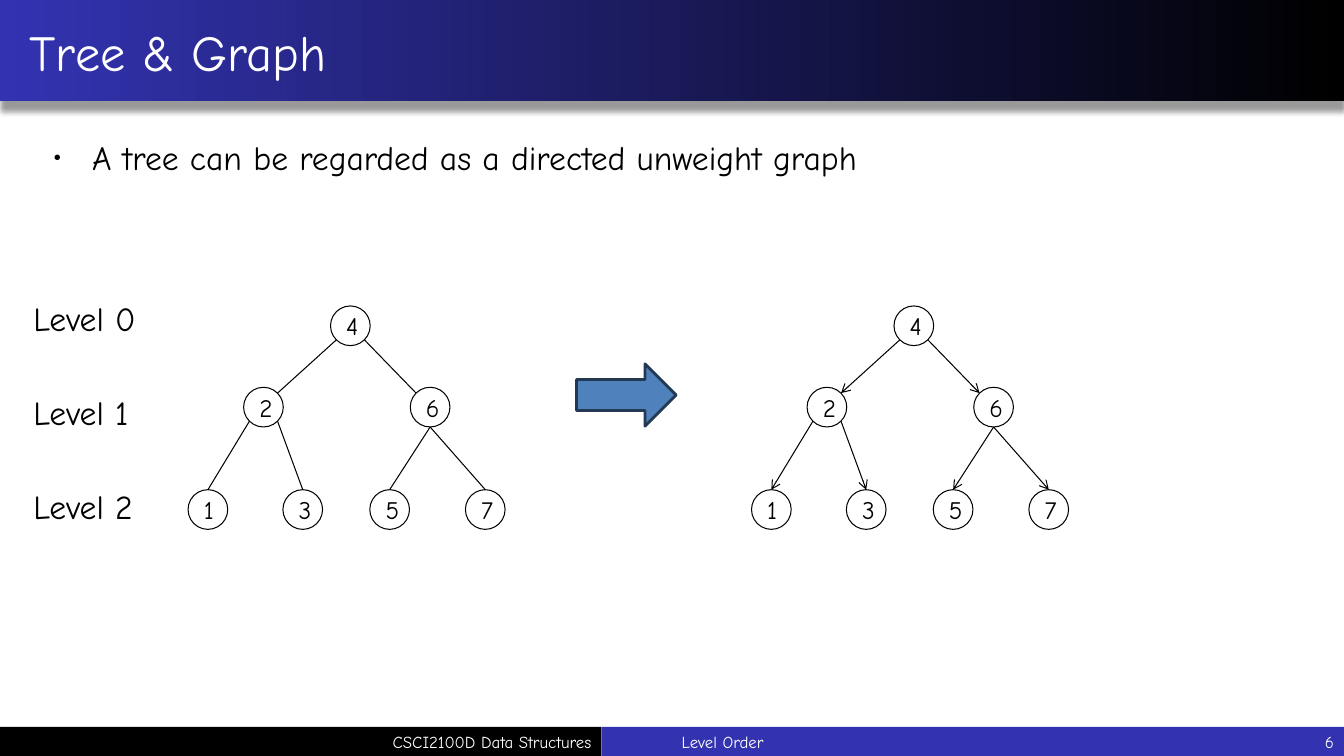
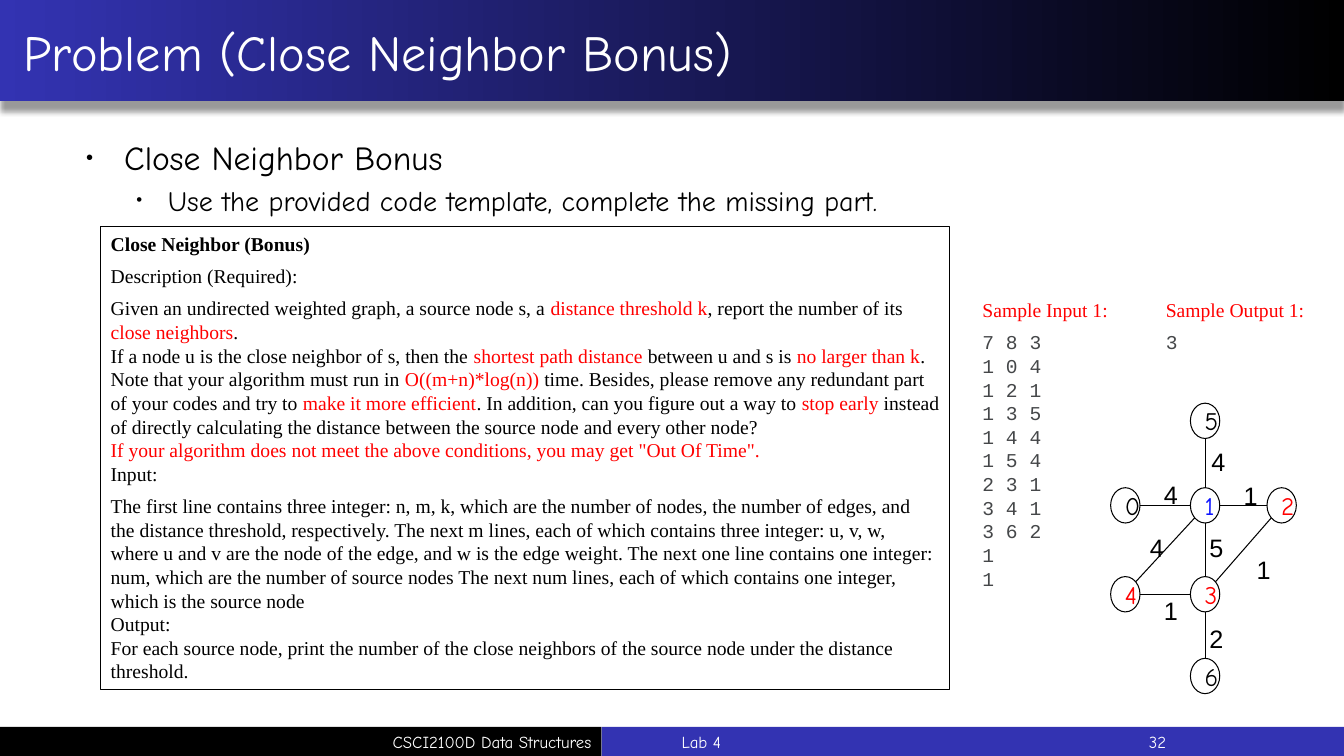
from lxml import etree
from pptx import Presentation
from pptx.dml.color import RGBColor
from pptx.enum.shapes import MSO_CONNECTOR, MSO_SHAPE
from pptx.enum.text import MSO_ANCHOR, PP_ALIGN
from pptx.oxml.ns import qn
from pptx.util import Cm, Pt

PAGE_WIDTH, PAGE_HEIGHT = 33.87, 19.05
HEADER_HEIGHT = 2.54
FOOTER_TOP, FOOTER_HEIGHT, FOOTER_SPLIT = 18.32, 0.73, 15.16

BLACK, WHITE, RED, BLUE = "000000", "FFFFFF", "FF0000", "0D14FF"
BAND, CODE_GREY = "3333B2", "454749"
ARROW_FILL, ARROW_LINE = "4F81BD", "233953"
HAND, SERIF, MONO, SANS = "Comic Neue", "Times New Roman", "Courier New", "Arial"

DIAGONAL = 0.71
SITES = {
    "top": (0, -1), "bottom": (0, 1), "left": (-1, 0), "right": (1, 0),
    "top left": (-DIAGONAL, -DIAGONAL), "top right": (DIAGONAL, -DIAGONAL),
    "bottom left": (-DIAGONAL, DIAGONAL), "bottom right": (DIAGONAL, DIAGONAL),
}

TREE_NODE = (1, 1)
TREE_NODES = {
    "4": (8.33, 7.71),
    "2": (6.14, 9.76), "6": (10.34, 9.76),
    "1": (4.74, 12.34), "3": (7.13, 12.34), "5": (9.32, 12.34), "7": (11.73, 12.34),
}
TREE_EDGES = [
    ("4", "bottom left", "2", "top right"),
    ("4", "bottom right", "6", "top left"),
    ("2", "bottom left", "1", "top"),
    ("2", "bottom right", "3", "top"),
    ("6", "bottom", "5", "top"),
    ("6", "bottom", "7", "top"),
]

GRAPH_NODE = (0.74, 0.89)
GRAPH_NODES = {
    "0": (27.99, 12.29, BLACK), "1": (30, 12.29, BLUE), "2": (31.93, 12.29, RED),
    "4": (27.99, 14.53, RED), "3": (30, 14.53, RED),
    "5": (30, 10.16, BLACK), "6": (30, 16.59, BLACK),
}
# Start node and site, end node and site, weight, place of the weight
GRAPH_EDGES = [
    ("1", "right", "2", "left", "1", 31.09, 11.99),
    ("1", "bottom", "3", "top", "5", 30.23, 13.28),
    ("0", "right", "1", "left", "4", 29.08, 11.96),
    ("1", "top", "5", "bottom", "4", 30.28, 11.13),
    ("1", "bottom left", "4", "top right", "4", 28.73, 13.28),
    ("4", "right", "3", "left", "1", 29.08, 14.88),
    ("2", "bottom left", "3", "top right", "1", 31.42, 13.84),
    ("3", "bottom", "6", "top", "2", 30.23, 15.57),
]

# Every second part between bars is red; the number is the space after
PROBLEM = [
    ("Description (Required):", 6),
    ("Given an undirected weighted graph, a source node s, a |distance threshold k|"
     ", report the number of its |close neighbors|.", 0),
    ("If a node u is the close neighbor of s, then the |shortest path distance |"
     "between u and s is |no larger than k|.", 0),
    ("Note that your algorithm must run in |O((m+n)*log(n)) |time. Besides, please "
     "remove any redundant part of your codes and try to |make it more efficient|"
     ". In addition, can you figure out a way to |stop early| instead of directly "
     "calculating the distance between the source node and every other node?", 0),
    ('|If your algorithm does not meet the above conditions, you may get "Out Of Time".', 0),
    ("Input:", 6),
    ("The first line contains three integer: n, m, k, which are the number of nodes, "
     "the number of edges, and the distance threshold, respectively. The next m lines, "
     "each of which contains three integer: u, v, w, where u and v are the node of the "
     "edge, and w is the edge weight. The next one line contains one integer: num, "
     "which are the number of source nodes The next num lines, each of which contains "
     "one integer, which is the source node", 0),
    ("Output:", 0),
    ("For each source node, print the number of the close neighbors of the source node "
     "under the distance threshold.", 0),
]
SAMPLE_INPUT = ["7 8 3", "1 0 4", "1 2 1", "1 3 5", "1 4 4", "1 5 4",
                "2 3 1", "3 4 1", "3 6 2", "1", "1"]
SAMPLE_OUTPUT = ["3"]
TEXT_LINE = 16.9


def rgb(value):
    return RGBColor.from_string(value)


def add_shape(shapes, kind, left, top, width, height, fill=None, line=None, weight=0.75):
    shape = shapes.add_shape(kind, Cm(left), Cm(top), Cm(width), Cm(height))
    shape.shadow.inherit = False
    if fill:
        shape.fill.solid()
        shape.fill.fore_color.rgb = rgb(fill)
    else:
        shape.fill.background()
    if line:
        shape.line.color.rgb = rgb(line)
        shape.line.width = Pt(weight)
    else:
        shape.line.fill.background()
    return shape


def add_box(shapes, left, top, width, height, anchor=MSO_ANCHOR.TOP):
    box = shapes.add_textbox(Cm(left), Cm(top), Cm(width), Cm(height))
    box.text_frame.word_wrap = True
    box.text_frame.vertical_anchor = anchor
    return box


def add_span(para, text, size, font=HAND, color=BLACK, bold=False):
    span = para.add_run()
    span.text = text
    span.font.size = Pt(size)
    span.font.name = font
    span.font.color.rgb = rgb(color)
    span.font.bold = bold


def add_para(box, align=PP_ALIGN.LEFT, before=0, after=0, line=None):
    """Return the empty first paragraph of the box, or a new one."""
    para = box.text_frame.paragraphs[0]
    if para.runs:
        para = box.text_frame.add_paragraph()
    para.alignment = align
    para.space_before, para.space_after = Pt(before), Pt(after)
    if line:
        para.line_spacing = Pt(line)
    return para


def indent(para, left, first=0):
    properties = para._p.get_or_add_pPr()
    properties.set("marL", str(Cm(left)))
    properties.set("indent", str(Cm(first)))
    return properties


def add_bullet(box, text, size, left, hang, level=0):
    para = add_para(box, before=size * 0.2)
    para.level = level
    properties = indent(para, left, -hang)
    etree.SubElement(properties, qn("a:buSzPct"), val="60000")
    etree.SubElement(properties, qn("a:buFont"), typeface=SANS)
    etree.SubElement(properties, qn("a:buChar"), char="•")
    add_span(para, text, size)


def add_header(page, title, title_indent):
    band = add_shape(page.shapes, MSO_SHAPE.RECTANGLE, 0, 0, PAGE_WIDTH, HEADER_HEIGHT)
    band.fill.gradient()
    band.fill.gradient_angle = 180
    for stop, color, position in zip(band.fill.gradient_stops, (BLACK, BAND), (0, 1)):
        stop.color.rgb = rgb(color)
        stop.position = position
    effects = band.element.spPr.find(qn("a:effectLst"))
    shadow = etree.SubElement(effects, qn("a:outerShdw"), blurRad=str(Pt(4)),
                              dist=str(Pt(7)), dir="5400000", rotWithShape="0")
    shade = etree.SubElement(shadow, qn("a:srgbClr"), val=BLACK)
    etree.SubElement(shade, qn("a:alpha"), val="40000")
    box = add_box(page.shapes, 0, 0.05, PAGE_WIDTH, 2.49, MSO_ANCHOR.MIDDLE)
    para = add_para(box)
    indent(para, title_indent)
    add_span(para, title, 36, color=WHITE)


def add_footer(page, topic, number, number_right):
    for left, right, color in ((FOOTER_SPLIT, PAGE_WIDTH, BAND), (0, FOOTER_SPLIT, BLACK)):
        add_shape(page.shapes, MSO_SHAPE.RECTANGLE, left, FOOTER_TOP,
                  right - left, FOOTER_HEIGHT, fill=color)
    for text, left, right, align in (
        ("CSCI2100D Data Structures", 0.05, FOOTER_SPLIT, PP_ALIGN.RIGHT),
        (topic, 16.93, 26, PP_ALIGN.LEFT),
        (number, number_right - 3, number_right, PP_ALIGN.RIGHT),
    ):
        box = add_box(page.shapes, left, FOOTER_TOP, right - left, FOOTER_HEIGHT,
                      MSO_ANCHOR.MIDDLE)
        add_span(add_para(box, align), text, 12, color=WHITE)


def add_page(deck, title, title_indent, topic, number, number_right):
    page = deck.slides.add_slide(deck.slide_layouts[6])
    add_header(page, title, title_indent)
    add_footer(page, topic, number, number_right)
    return page


def add_node(shapes, text, left, top, size, color=BLACK):
    node = add_shape(shapes, MSO_SHAPE.OVAL, left, top, *size, line=BLACK)
    node.text_frame.vertical_anchor = MSO_ANCHOR.MIDDLE
    add_span(add_para(node, PP_ALIGN.CENTER), text, 18, color=color)
    return node


def site_point(node, site):
    """Point on the rim of a node, as x and y."""
    across, down = SITES[site]
    return (int(node.left + node.width * (1 + across) / 2),
            int(node.top + node.height * (1 + down) / 2))


def add_edge(shapes, start, start_site, end, end_site, arrow=False):
    edge = shapes.add_connector(MSO_CONNECTOR.STRAIGHT, *site_point(start, start_site),
                                *site_point(end, end_site))
    edge.line.color.rgb = rgb(BLACK)
    edge.line.width = Pt(0.75)
    properties = edge.element.spPr
    if arrow:
        etree.SubElement(properties.find(qn("a:ln")), qn("a:tailEnd"), type="arrow")
    etree.SubElement(properties, qn("a:effectLst"))


def add_tree(page, shift=0, arrow=False):
    shapes = page.shapes.add_group_shape().shapes
    nodes = {text: add_node(shapes, text, left + shift, top, TREE_NODE)
             for text, (left, top) in TREE_NODES.items()}
    for start, start_site, end, end_site in TREE_EDGES:
        add_edge(shapes, nodes[start], start_site, nodes[end], end_site, arrow)


def add_weighted_graph(page):
    shapes = page.shapes.add_group_shape().shapes
    nodes = {text: add_node(shapes, text, left, top, GRAPH_NODE, color)
             for text, (left, top, color) in GRAPH_NODES.items()}
    for start, start_site, end, end_site, weight, left, top in GRAPH_EDGES:
        add_edge(shapes, nodes[start], start_site, nodes[end], end_site)
        box = add_box(shapes, left, top, 0.9, 0.91)
        add_span(add_para(box), weight, 18, SANS)


def add_problem(page):
    box = add_shape(page.shapes, MSO_SHAPE.RECTANGLE, 2.54, 5.72, 21.39, 11.66, line=BLACK)
    box.text_frame.word_wrap = True
    box.text_frame.vertical_anchor = MSO_ANCHOR.TOP
    heading = add_para(box, after=6, line=TEXT_LINE)
    add_span(heading, "Close Neighbor (Bonus)", 14, SERIF, bold=True)
    for text, after in PROBLEM:
        para = add_para(box, after=after, line=TEXT_LINE)
        for index, part in enumerate(text.split("|")):
            if part:
                add_span(para, part, 14, SERIF, RED if index % 2 else BLACK)


def add_sample(page, heading, lines, left, width, height):
    box = add_box(page.shapes, left, 7.52, width, height)
    add_span(add_para(box, after=6, line=13), heading, 14, SERIF, RED)
    for text in lines:
        add_span(add_para(box, line=TEXT_LINE), text, 14, MONO, CODE_GREY)


def build_tree_page(deck):
    page = add_page(deck, "Tree & Graph", 0.5, "Level Order", "6", PAGE_WIDTH)
    body = add_box(page.shapes, 1.11, 3.33, 26.21, 2.08)
    add_bullet(body, "A tree can be regarded as a directed unweight graph", 24, 0.96, 0.96)
    add_tree(page)
    add_tree(page, shift=14.2, arrow=True)
    add_shape(page.shapes, MSO_SHAPE.RIGHT_ARROW, 14.53, 9.17, 2.51, 1.57,
              ARROW_FILL, ARROW_LINE, 2)
    levels = add_box(page.shapes, 0.59, 7.37, 4, 6.48)
    for level in range(3):
        para = add_para(levels, before=38.4 if level else 4.8)
        add_span(para, f"Level {level}", 24)


def build_problem_page(deck):
    page = add_page(deck, "Problem (Close Neighbor Bonus)", 0.35, "Lab 4", "32", 29.64)
    body = add_box(page.shapes, 1.92, 3.33, 29.99, 2.35)
    add_bullet(body, "Close Neighbor Bonus", 24, 0.96, 0.96)
    add_bullet(body, "Use the provided code template, complete the missing part.",
               20, 2.06, 0.79, level=1)
    add_problem(page)
    add_sample(page, "Sample Input 1:", SAMPLE_INPUT, 24.51, 4.2, 7.98)
    add_sample(page, "Sample Output 1:", SAMPLE_OUTPUT, 29.13, 4.7, 2)
    add_weighted_graph(page)


def main():
    deck = Presentation()
    deck.slide_width, deck.slide_height = Cm(PAGE_WIDTH), Cm(PAGE_HEIGHT)
    build_tree_page(deck)
    build_problem_page(deck)
    deck.save("out.pptx")


if __name__ == "__main__":
    main()
